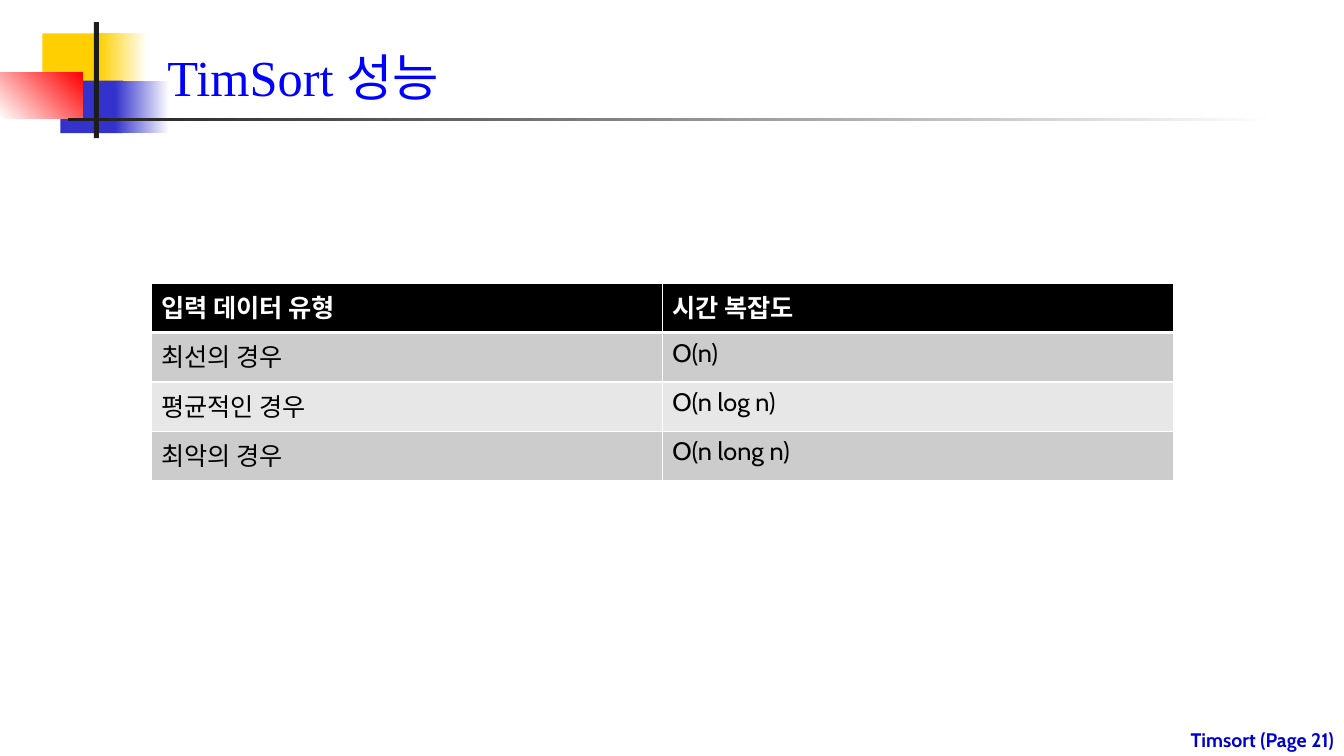
from lxml import etree
from pptx import Presentation
from pptx.dml.color import RGBColor
from pptx.enum import shapes, text
from pptx.oxml.ns import qn
from pptx.util import Inches, Pt

BLACK = RGBColor(0, 0, 0)
WHITE = RGBColor(255, 255, 255)
INK = RGBColor(0x1C, 0x1C, 0x1C)
GOLD = RGBColor(0xFF, 0xCF, 0x01)
NAVY = RGBColor(0x33, 0x33, 0xCC)
RED = RGBColor(0xFF, 0, 0)
BLUE = RGBColor(0, 0, 0xFF)
DEEP = RGBColor(0, 0, 0xCC)
BANDS = RGBColor(0xCC, 0xCC, 0xCC), RGBColor(0xE7, 0xE7, 0xE7)

TITLE = "TimSort 성능"
FOOT = "Timsort (Page 21)"
ROWS = [
    ("입력 데이터 유형", "시간 복잡도"),
    ("최선의 경우", "O(n)"),
    ("평균적인 경우", "O(n log n)"),
    ("최악의 경우", "O(n long n)"),
]
# left, top, width, height, colours from start to end, angle
DECOR = [
    (0.42, 0.33, 0.64, 0.52, (GOLD,), 0),
    (0.98, 0.33, 0.48, 0.52, (GOLD, WHITE), 0),
    (0.6, 0.8, 0.62, 0.52, (NAVY,), 0),
    (1.14, 0.8, 0.54, 0.52, (NAVY, WHITE), 0),
    (0, 0.72, 0.82, 0.46, (WHITE, RED), 45),
    (0.93, 0.22, 0.05, 1.15, (INK,), 0),
    (0.67, 1.17, 12, 0.03, (INK, WHITE), 0),
]
WIDE, HIGH = 13.33, 7.5
COL, ROW = 5.07, 0.49


def box(*sides):
    return [Inches(side) for side in sides]


def style(para, font, size, color, bold=False):
    for run in para.runs:
        run.font.name = font
        run.font.size = Pt(size)
        run.font.color.rgb = color
        run.font.bold = bold


def paint(fill, colors, angle):
    if len(colors) == 1:
        fill.solid()
        fill.fore_color.rgb = colors[0]
        return
    fill.gradient()
    fill.gradient_angle = angle
    for stop, color in zip(fill.gradient_stops, colors):
        stop.color.rgb = color


def edge(cell, top, bottom):
    """Draw white cell borders; top and bottom are widths in points."""
    props = cell._tc.get_or_add_tcPr()
    for i, (tag, width) in enumerate(
            [("lnL", 1), ("lnR", 1), ("lnT", top), ("lnB", bottom)]):
        line = etree.Element(qn("a:" + tag), w=str(Pt(width)))
        fill = etree.SubElement(line, qn("a:solidFill"))
        etree.SubElement(fill, qn("a:srgbClr"), val=str(WHITE))
        props.insert(i, line)


def add_decor(slide):
    for *place, colors, angle in DECOR:
        rect = slide.shapes.add_shape(
            shapes.MSO_SHAPE.RECTANGLE, *box(*place))
        rect.shadow.inherit = False
        rect.line.fill.background()
        paint(rect.fill, colors, angle)


def add_title(slide):
    title = slide.shapes.title
    title.left, title.top, title.width, title.height = box(
        1.56, 0.18, 11.36, 0.93)
    frame = title.text_frame
    frame.text = TITLE
    frame.vertical_anchor = text.MSO_ANCHOR.BOTTOM
    para = frame.paragraphs[0]
    para.alignment = text.PP_ALIGN.LEFT
    style(para, "Times New Roman", 36, BLUE)
    slide.shapes._spTree.append(title._element)


def add_foot(slide):
    wide, high = 4.48, 0.33
    foot = slide.shapes.add_textbox(
        *box(WIDE - wide, HIGH - high, wide, high))
    frame = foot.text_frame
    frame.word_wrap = True
    frame.vertical_anchor = text.MSO_ANCHOR.BOTTOM
    frame.text = FOOT
    para = frame.paragraphs[0]
    para.alignment = text.PP_ALIGN.RIGHT
    style(para, "Cabin", 14, DEEP, True)


def add_grid(slide):
    count, cols = len(ROWS), len(ROWS[0])
    grid = slide.shapes.add_table(
        count, cols, *box(1.5, 2.81, COL * cols, ROW * count)).table
    for r, row in enumerate(ROWS):
        head = r == 0
        for c, word in enumerate(row):
            cell = grid.cell(r, c)
            cell.text = word
            cell.fill.solid()
            cell.fill.fore_color.rgb = BLACK if head else BANDS[(r - 1) % 2]
            style(cell.text_frame.paragraphs[0], "Cabin", 18,
                  WHITE if head else BLACK, head)
            edge(cell, 3 if r == 1 else 1, 3 if head else 1)


def main():
    deck = Presentation()
    deck.slide_width, deck.slide_height = box(WIDE, HIGH)
    slide = deck.slides.add_slide(deck.slide_layouts[5])
    add_decor(slide)
    add_foot(slide)
    add_title(slide)
    add_grid(slide)
    deck.save("out.pptx")


if __name__ == "__main__":
    main()
